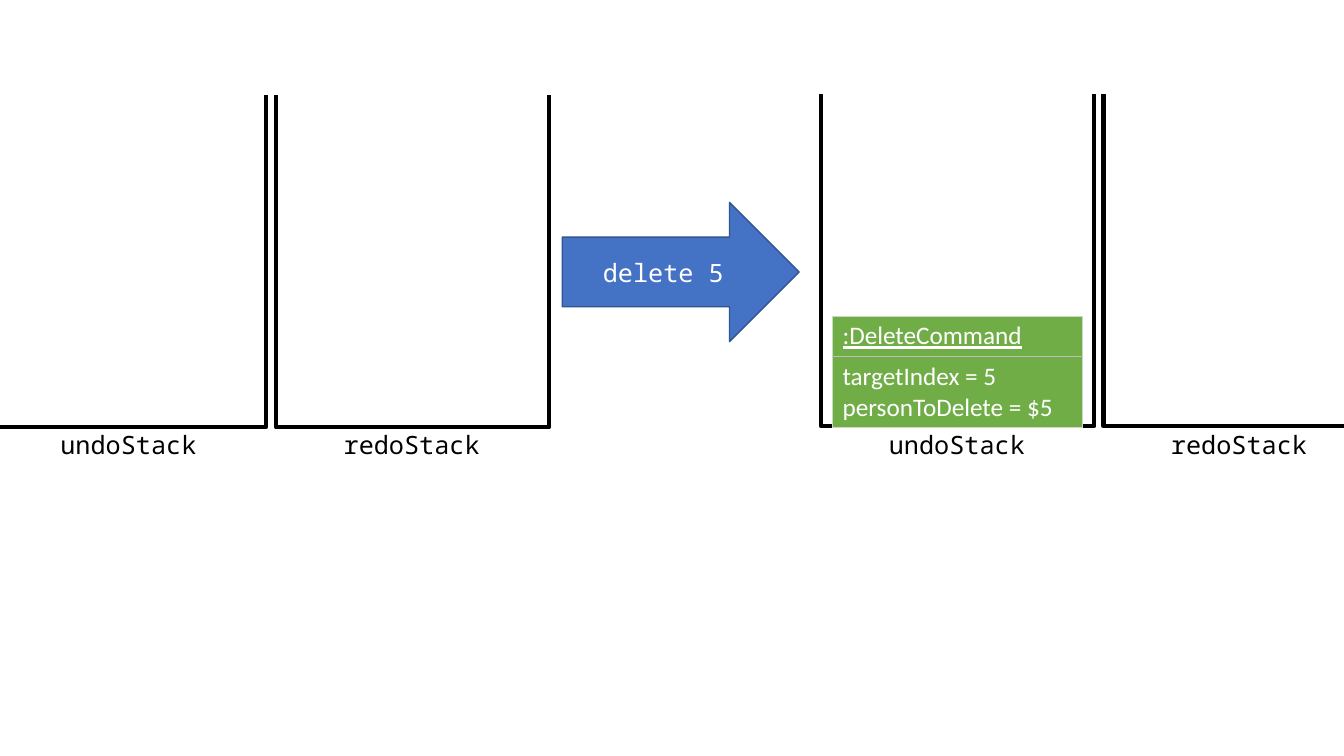
from lxml import etree
from pptx import Presentation
from pptx.dml.color import RGBColor
from pptx.enum.shapes import MSO_SHAPE
from pptx.enum.text import MSO_ANCHOR, MSO_AUTO_SIZE, PP_ALIGN
from pptx.oxml.ns import qn
from pptx.util import Cm, Pt

RECT, ARROW = MSO_SHAPE.RECTANGLE, MSO_SHAPE.RIGHT_ARROW
CENTER, LEFT = PP_ALIGN.CENTER, PP_ALIGN.LEFT
MIDDLE, TOP = MSO_ANCHOR.MIDDLE, MSO_ANCHOR.TOP
GROW = MSO_AUTO_SIZE.SHAPE_TO_FIT_TEXT

BLACK, WHITE, BLUE, NAVY = "000000", "FFFFFF", "4472C4", "325491"
GREEN, PALE_GREEN, GREY = "70AD47", "C9DBC1", "BFBFBF"
MONO = {"name": "Noto Sans Mono", "size": Pt(18)}
BODY = {"name": "Calibri", "size": Pt(18)}

STACK_W, STACK_H, LABEL_W = 6.88, 9.04, 6.83
LABEL_TOP = 10.7
# name, left, top
STACKS = [
    ("undoStack", -0.18, 1.73),
    ("redoStack", 6.96, 1.73),
    ("undoStack", 20.7, 1.7),
    ("redoStack", 27.81, 1.7),
]


def rgb(value):
    """Turn a hex string into a colour."""
    return RGBColor.from_string(value)


def write(tf, lines, font, color, align):
    """Fill a text frame with one paragraph per line."""
    for i, line in enumerate(lines):
        p = tf.add_paragraph() if i else tf.paragraphs[0]
        p.alignment = align
        r = p.add_run()
        r.text = line
        for key, value in font.items():
            setattr(r.font, key, value)
        r.font.color.rgb = rgb(color)


def add_box(shapes, kind, box, fill, line, width):
    """Add a filled preset shape; box is left, top, width, height in cm."""
    sp = shapes.add_shape(kind, *map(Cm, box))
    sp.shadow.inherit = False
    sp.fill.solid()
    sp.fill.fore_color.rgb = rgb(fill)
    sp.line.color.rgb = rgb(line)
    sp.line.width = Pt(width)
    return sp


def add_stack(s, left, top):
    """Add a stack: a framed box whose top edge is covered in white."""
    shapes = s.shapes.add_group_shape().shapes
    add_box(shapes, RECT, (left, top, STACK_W, STACK_H), WHITE, BLACK, 3)
    add_box(shapes, RECT, (left - 0.58, top - 0.43, 7.9, 1.09), WHITE, WHITE, 1)


def add_label(s, name, left):
    """Add the name below a stack."""
    sp = s.shapes.add_textbox(Cm(left), Cm(LABEL_TOP), Cm(LABEL_W), Cm(1.02))
    tf = sp.text_frame
    tf.word_wrap = True
    tf.auto_size = GROW
    write(tf, [name], MONO, BLACK, CENTER)


def add_arrow(s, text):
    """Add the block arrow that carries the command."""
    sp = add_box(s.shapes, ARROW, (14.17, 5.1, 5.97, 3.51), BLUE, NAVY, 1)
    sp.text_frame.vertical_anchor = MIDDLE
    write(sp.text_frame, [text], MONO, WHITE, CENTER)


def set_border(cell, side, color, width):
    """Draw one side (L, R, T or B) of a cell."""
    ln = etree.SubElement(cell._tc.get_or_add_tcPr(), qn("a:ln" + side), w=str(Pt(width)))
    fill = etree.SubElement(ln, qn("a:solidFill"))
    etree.SubElement(fill, qn("a:srgbClr"), val=color)


def add_object(s, rows):
    """Add an object table; rows holds height, lines and font of each row."""
    height = sum(row[0] for row in rows)
    frame = s.shapes.add_table(len(rows), 1, Cm(20.98), Cm(7.96), Cm(6.3), Cm(height))
    table = frame.table
    table.first_row = table.horz_banding = False
    thin, divider = (PALE_GREEN, 0.5), (GREY, 1)
    for i, (row_height, lines, font) in enumerate(rows):
        table.rows[i].height = Cm(row_height)
        cell = table.cell(i, 0)
        cell.vertical_anchor = TOP
        top = divider if i else thin
        bottom = divider if i < len(rows) - 1 else thin
        for side, style in zip("LRTB", (thin, thin, top, bottom)):
            set_border(cell, side, *style)
        cell.fill.solid()
        cell.fill.fore_color.rgb = rgb(GREEN)
        write(cell.text_frame, lines, font, WHITE, LEFT)


def main():
    """Build the slide and save it."""
    prs = Presentation()
    prs.slide_width, prs.slide_height = Cm(33.87), Cm(19.05)
    s = prs.slides.add_slide(prs.slide_layouts[6])
    for name, left, top in STACKS:
        add_stack(s, left, top)
        add_label(s, name, left)
    add_arrow(s, "delete 5")
    add_object(s, [
        (1.01, [":DeleteCommand"], {**BODY, "underline": True}),
        (1.78, ["targetIndex = 5", "personToDelete = $5"], BODY),
    ])
    prs.save("out.pptx")


main()
